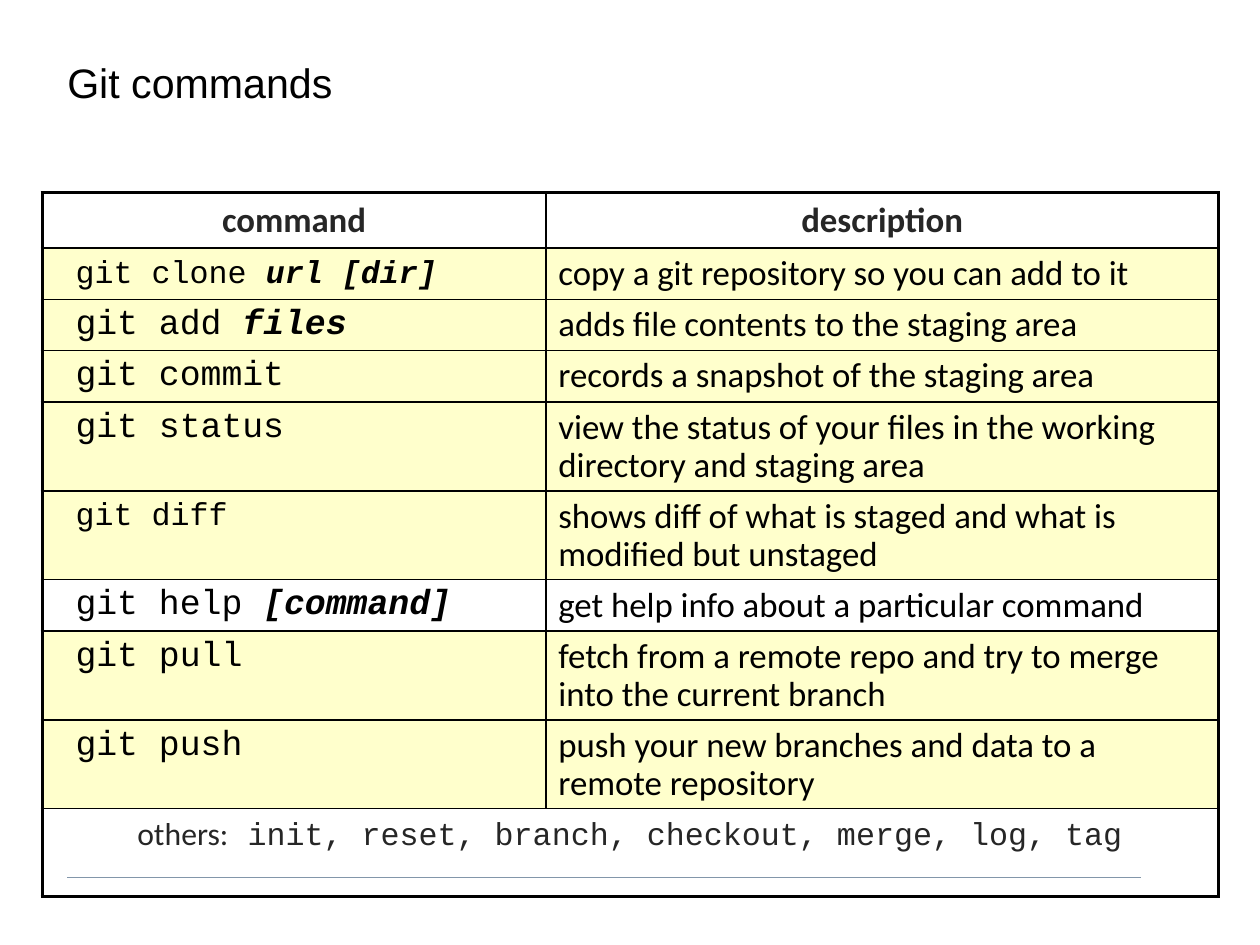
from dataclasses import dataclass

import pptx
import pptx.dml.color
import pptx.enum.shapes
import pptx.enum.text
import pptx.oxml
import pptx.oxml.ns
import pptx.util

Inches = pptx.util.Inches
Pt = pptx.util.Pt
RGBColor = pptx.dml.color.RGBColor
Align = pptx.enum.text.PP_ALIGN

BLACK = RGBColor(0x00, 0x00, 0x00)
DARK = RGBColor(0x26, 0x26, 0x26)
CREAM = RGBColor(0xFF, 0xFF, 0xCC)
SLATE = RGBColor(0x82, 0x96, 0xAA)

SANS = "Calibri"
MONO = "Courier New"
WIDE, HIGH = 796 / 72, 597 / 72
THICK, THIN = 2.25, 1
SHORT, TALL, HEAD = 0.44, 0.77, 0.48
COLS = (4.42, 5.9)
MARGINS = {"left": 0.11, "right": 0.11, "top": 0.06, "bottom": 0.06}


@dataclass
class Run:
    text: str
    font: str = SANS
    size: float = 22
    color: RGBColor = BLACK
    bold: bool = False
    italic: bool = False


@dataclass
class Command:
    name: str
    args: str
    about: str
    high: float = SHORT
    size: float = 22
    tinted: bool = True


COMMANDS = [
    Command("git clone ", "url [dir]", "copy a git repository so you can add to it", size=20),
    Command("git add ", "files", "adds file contents to the staging area"),
    Command("git commit", "", "records a snapshot of the staging area"),
    Command("git status", "",
            "view the status of your files in the working directory and staging area", TALL),
    Command("git diff", "",
            "shows diff of what is staged and what is modified but unstaged", TALL, 20),
    Command("git help ", "[command]", "get help info about a particular command", tinted=False),
    Command("git pull", "",
            "fetch from a remote repo and try to merge into the current branch", TALL),
    Command("git push", "", "push your new branches and data to a remote repository", TALL),
]


def write(frame, runs: list[Run], align=Align.LEFT, gap: float = 1.0) -> None:
    line = frame.paragraphs[0]
    line.alignment = align
    line.line_spacing = gap
    for run in runs:
        part = line.add_run()
        part.text = run.text
        look = {"name": run.font, "size": Pt(run.size), "bold": run.bold, "italic": run.italic}
        for key, value in look.items():
            setattr(part.font, key, value)
        part.font.color.rgb = run.color


def inset(item, sizes: dict[str, float]) -> None:
    """Set the inner margins of a cell or text frame."""
    for side, size in sizes.items():
        setattr(item, f"margin_{side}", Inches(size))


def edge(cell, side: str, width: float) -> None:
    """Draw one border of a cell; side is L, R, T or B."""
    cell._tc.get_or_add_tcPr().append(pptx.oxml.parse_xml(
        f'<a:ln{side} {pptx.oxml.ns.nsdecls("a")} w="{Pt(width)}">'
        f'<a:solidFill><a:srgbClr val="{BLACK}"/></a:solidFill></a:ln{side}>'))


def style(cell, row: int, col: int, last: int, tinted: bool) -> None:
    """Set the margins, borders and fill of a cell."""
    inset(cell, MARGINS)
    outer = {"L": col == 0, "R": col == 1 or row == last, "T": row == 0, "B": row == last}
    for side, rim in outer.items():
        edge(cell, side, THICK if rim else THIN)
    if tinted:
        cell.fill.solid()
        cell.fill.fore_color.rgb = CREAM
    else:
        cell.fill.background()


def add_title(slide) -> None:
    frame = slide.shapes.add_textbox(
        Inches(0.59), Inches(0.55), Inches(9.28), Inches(0.83)).text_frame
    frame.word_wrap = True
    inset(frame, {"left": 0, "top": 0, "right": 0.59, "bottom": 0})
    write(frame, [Run("Git commands", "Arial", 26)], gap=0.9)


def add_rule(slide) -> None:
    """Draw the thin line near the foot of the slide."""
    rule = slide.shapes.add_connector(
        pptx.enum.shapes.MSO_CONNECTOR.STRAIGHT,
        Inches(10.01), Inches(7.7), Inches(0.59), Inches(7.7))
    rule.line.color.rgb = SLATE
    rule.line.width = Pt(0.5)
    rule._element.spPr.append(
        pptx.oxml.parse_xml(f'<a:effectLst {pptx.oxml.ns.nsdecls("a")}/>'))


def add_grid(slide) -> None:
    """Build the table of commands."""
    highs = [HEAD, *(item.high for item in COMMANDS), TALL]
    last = len(highs) - 1
    grid = slide.shapes.add_table(
        len(highs), len(COLS), Inches(0.37), Inches(1.69),
        Inches(sum(COLS)), Inches(sum(highs))).table
    grid.first_row = grid.horz_banding = False
    for col, width in zip(grid.columns, COLS):
        col.width = Inches(width)
    for row, high in zip(grid.rows, highs):
        row.height = Inches(high)

    for col, label in enumerate(("command", "description")):
        cell = grid.cell(0, col)
        style(cell, 0, col, last, False)
        write(cell.text_frame, [Run(label, color=DARK, bold=True)], Align.CENTER)

    for row, item in enumerate(COMMANDS, 1):
        code = [Run(" ", MONO), Run(item.name, MONO, item.size)]
        if item.args:
            code.append(Run(item.args, MONO, item.size, bold=True, italic=True))
        for col, runs in enumerate((code, [Run(item.about)])):
            cell = grid.cell(row, col)
            style(cell, row, col, last, item.tinted)
            write(cell.text_frame, runs, gap=0.9)

    for col in range(len(COLS)):
        style(grid.cell(last, col), last, col, last, False)
    foot = grid.cell(last, 0)
    foot.merge(grid.cell(last, 1))
    write(foot.text_frame, [
        Run("others:", size=20, color=DARK),
        Run(" init, reset, branch, checkout, merge, log, tag", MONO, 20, DARK),
    ], Align.CENTER)


def main() -> None:
    deck = pptx.Presentation()
    deck.slide_width = Inches(WIDE)
    deck.slide_height = Inches(HIGH)
    slide = deck.slides.add_slide(deck.slide_layouts[6])
    add_rule(slide)
    add_title(slide)
    add_grid(slide)
    deck.save("out.pptx")


if __name__ == "__main__":
    main()
